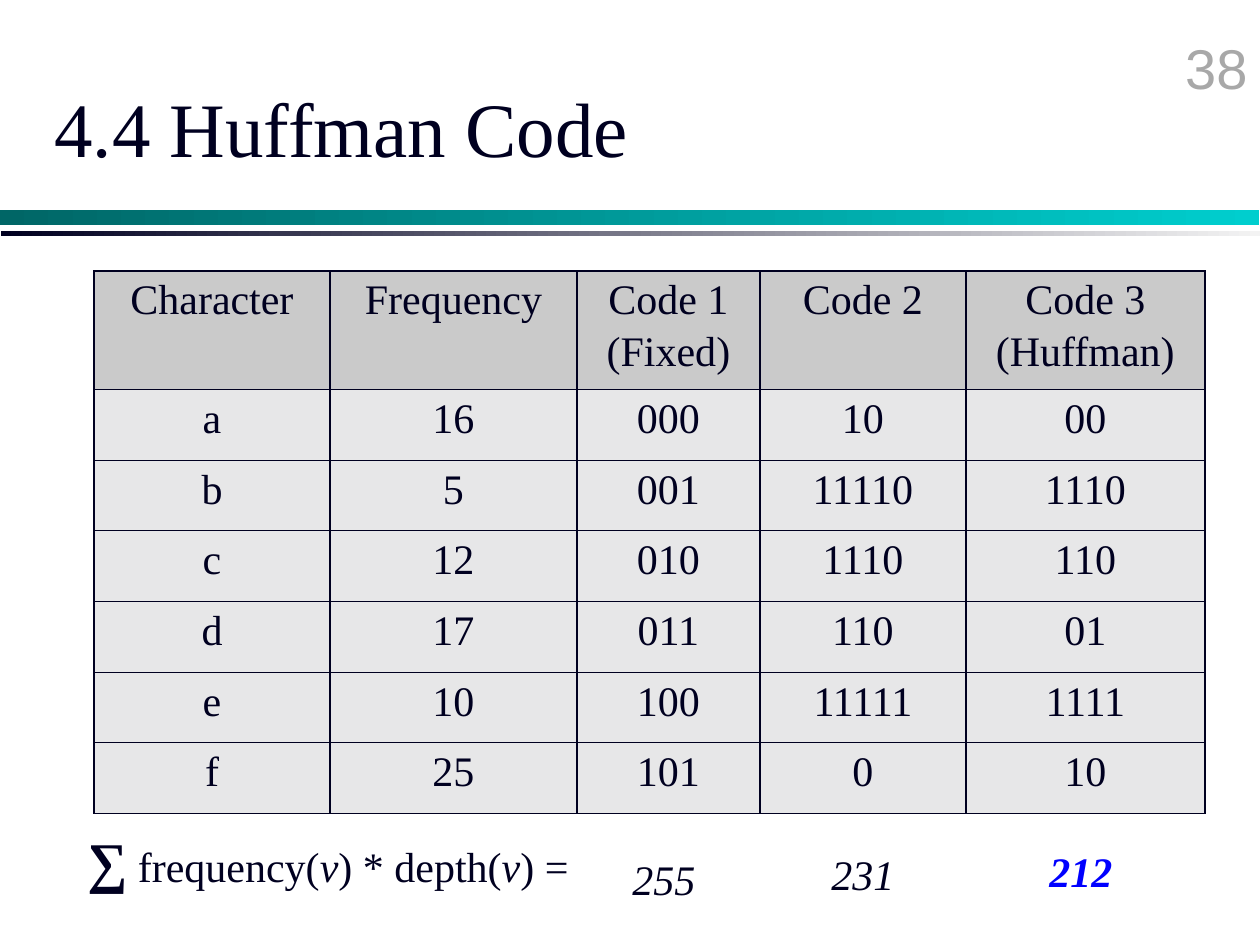
from lxml import etree
from pptx import Presentation
from pptx.dml.color import RGBColor
from pptx.enum.shapes import MSO_SHAPE
from pptx.enum.text import MSO_ANCHOR, PP_ALIGN
from pptx.oxml.ns import qn
from pptx.util import Pt

EMU_PER_PX = 914400 // 126
RECTANGLE = MSO_SHAPE.RECTANGLE
LEFT, CENTER, RIGHT = PP_ALIGN.LEFT, PP_ALIGN.CENTER, PP_ALIGN.RIGHT
TOP, MIDDLE = MSO_ANCHOR.TOP, MSO_ANCHOR.MIDDLE
SERIF, SANS = "Times New Roman", "Arial"
COLORS = {
    "ink": "000020",
    "number": "A8A8A8",
    "best": "0000FF",
    "header": "CACACA",
    "body": "E7E7E8",
    "teal": "006666",
    "cyan": "00CECE",
    "pale": "F3F3F3",
}
COLUMN_WIDTHS = [236, 247, 183, 206, 239]
ROW_HEIGHTS = [114, 71, 70, 71, 71, 70, 71]
CODES = [
    ["Character", "Frequency", "Code 1\n(Fixed)", "Code 2", "Code 3\n(Huffman)"],
    ["a", "16", "000", "10", "00"],
    ["b", "5", "001", "11110", "1110"],
    ["c", "12", "010", "1110", "110"],
    ["d", "17", "011", "110", "01"],
    ["e", "10", "100", "11111", "1111"],
    ["f", "25", "101", "0", "10"],
]


def px(*lengths):
    return [length * EMU_PER_PX for length in lengths]


def color(name):
    return RGBColor.from_string(COLORS[name])


def style(span, size, tint="ink", font=SERIF, bold=False, italic=False):
    span.font.size = Pt(size)
    span.font.name = font
    span.font.color.rgb = color(tint)
    span.font.bold = bold
    span.font.italic = italic


def add_band(page, at, start, end):
    band = page.shapes.add_shape(RECTANGLE, *px(*at))
    band.shadow.inherit = False
    band.line.fill.background()
    band.fill.gradient()
    band.fill.gradient_angle = 0
    for stop, name in zip(band.fill.gradient_stops, (start, end)):
        stop.color.rgb = color(name)


def add_text(page, at, spans, align=LEFT, anchor=TOP, wrap=True):
    box = page.shapes.add_textbox(*px(*at))
    frame = box.text_frame
    frame.word_wrap = wrap
    frame.vertical_anchor = anchor
    para = frame.paragraphs[0]
    para.alignment = align
    for text, look in spans:
        span = para.add_run()
        span.text = text
        style(span, **look)


def add_borders(cell):
    properties = cell._tc.get_or_add_tcPr()
    for index, side in enumerate(("lnL", "lnR", "lnT", "lnB")):
        line = etree.Element(qn(f"a:{side}"), w=str(Pt(1)))
        fill = etree.SubElement(line, qn("a:solidFill"))
        etree.SubElement(fill, qn("a:srgbClr"), val=COLORS["ink"])
        properties.insert(index, line)


def fill_cell(cell, text, tint):
    cell.text = text
    cell.fill.solid()
    cell.fill.fore_color.rgb = color(tint)
    add_borders(cell)
    for index, para in enumerate(cell.text_frame.paragraphs):
        para.alignment = CENTER
        para.space_before = Pt(3 if index else 0)
        for span in para.runs:
            style(span, 24)


def add_code_table(page):
    at = (94, 271, sum(COLUMN_WIDTHS), sum(ROW_HEIGHTS))
    table = page.shapes.add_table(len(CODES), len(CODES[0]), *px(*at)).table
    table.first_row = False
    table.horz_banding = False
    for column, width in zip(table.columns, px(*COLUMN_WIDTHS)):
        column.width = width
    for row, height in zip(table.rows, px(*ROW_HEIGHTS)):
        row.height = height
    for row_index, texts in enumerate(CODES):
        tint = "body" if row_index else "header"
        for column_index, text in enumerate(texts):
            fill_cell(table.cell(row_index, column_index), text, tint)


def add_cost_row(page):
    plain = {"size": 24}
    variable = {"size": 24, "italic": True}
    formula = [
        ("∑", {"size": 32, "bold": True}),
        (" frequency(", plain),
        ("v", variable),
        (") * depth(", plain),
        ("v", variable),
        (") =", plain),
    ]
    add_text(page, (75, 820, 510, 79), formula, wrap=False)
    best = {**variable, "tint": "best", "bold": True}
    costs = [("255", 620, 847, variable), ("231", 819, 842, variable), ("212", 1037, 839, best)]
    for text, left, top, look in costs:
        add_text(page, (left, top, 88, 63), [(text, look)], wrap=False)


def main():
    deck = Presentation()
    deck.slide_width, deck.slide_height = px(1260, 945)
    page = deck.slides.add_slide(deck.slide_layouts[6])
    add_band(page, (0, 210, 1259, 15), "teal", "cyan")
    add_band(page, (1, 231, 1259, 5), "ink", "pale")
    number_look = {"size": 32, "tint": "number", "font": SANS}
    add_text(page, (998, 27, 262, 63), [("38", number_look)], align=RIGHT)
    add_text(page, (42, 48, 1071, 158), [("4.4 Huffman Code", {"size": 44})], anchor=MIDDLE)
    add_code_table(page)
    add_cost_row(page)
    deck.save("out.pptx")


if __name__ == "__main__":
    main()
